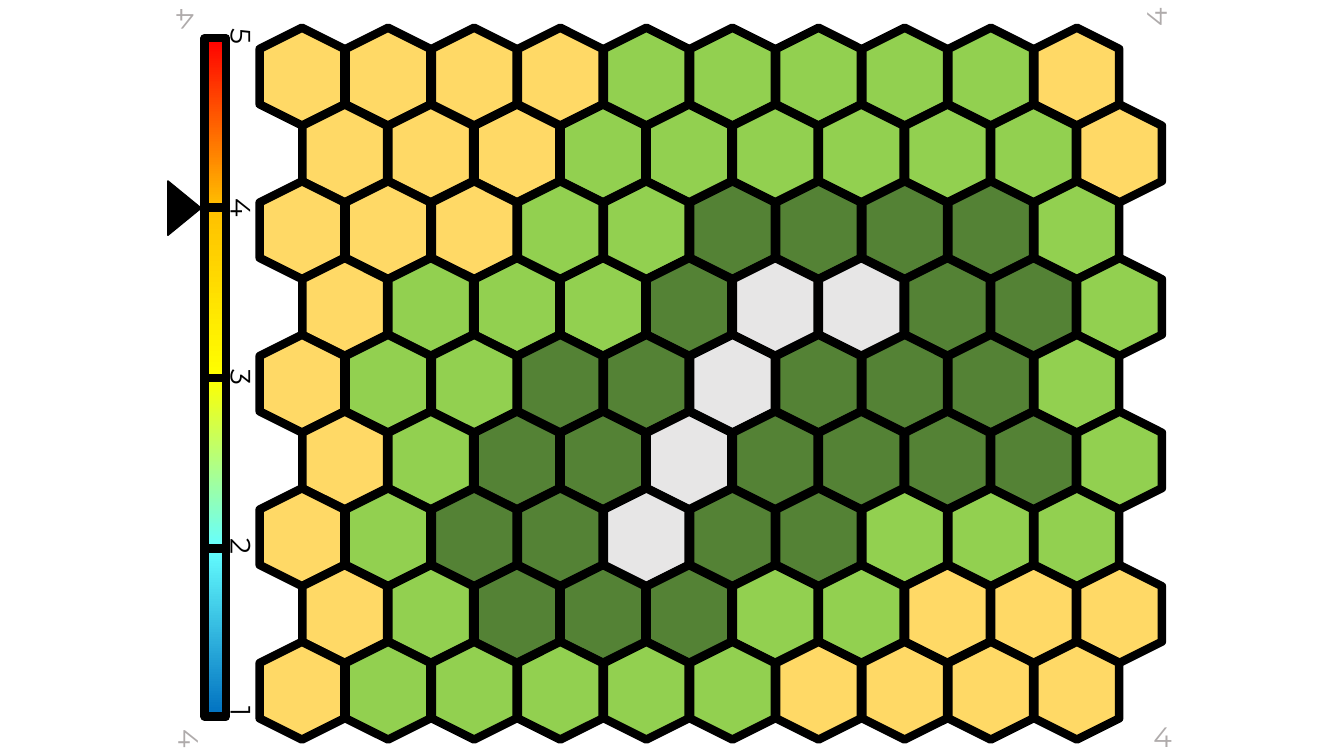
from lxml import etree
from pptx import Presentation
from pptx.dml.color import RGBColor
from pptx.enum.shapes import MSO_CONNECTOR, MSO_SHAPE
from pptx.enum.text import MSO_AUTO_SIZE
from pptx.oxml.ns import qn
from pptx.util import Emu, Pt

PX = 9144  # 100 px to the inch
RECT = MSO_SHAPE.RECTANGLE
HEX = MSO_SHAPE.HEXAGON
ARROW = MSO_SHAPE.ISOSCELES_TRIANGLE
LINE = MSO_CONNECTOR.STRAIGHT
GROW = MSO_AUTO_SIZE.SHAPE_TO_FIT_TEXT

BLACK, GREY = "000000", "AFABAB"
HUES = {"Y": "FFD966", "G": "92D050", "D": "548235", "W": "E7E6E6"}
HEAT = ["FF0000", "FFC000", "FFFF00", "66FFFF", "0070C0"]
ROWS = [
    "YYYYGGGGGY",
    "YYYGGGGGGY",
    "YYYGGDDDDG",
    "YGGGDWWDDG",
    "YGGDDWDDDG",
    "YGDDWDDDDG",
    "YGDDWDDGGG",
    "YGDDDGGYYY",
    "YGGGGGYYYY",
]
SCALE = {"5": 16, "4": 185, "3": 354, "2": 522, "1": 689}
MARKS = [(168, 711, 90), (1134, 709, 0), (1127, -5, 270), (164, -2, 180)]
FRAME = {"word_wrap": False, "auto_size": GROW}
FONT = {"name": "Montserrat", "size": Pt(20)}


def px(*vals):
    return [Emu(round(v * PX)) for v in vals]


def paint(color, hue):
    color.rgb = RGBColor.from_string(hue)


def put(item, values):
    for key, value in values.items():
        setattr(item, key, value)


def stroke(line, width):
    line.width = Pt(width)
    line.fill.solid()
    paint(line.fill.fore_color, BLACK)


def block(slide, kind, box, hue, width=6, turn=0):
    shape = slide.shapes.add_shape(kind, *px(*box))
    shape.shadow.inherit = False
    shape.rotation = turn
    shape.fill.solid()
    paint(shape.fill.fore_color, hue)
    stroke(shape.line, width)
    return shape


def blend(shape, hues):
    """Fill the shape from top to bottom with evenly spaced hues."""
    shape.fill.gradient()
    shape.fill.gradient_angle = 270
    stops = next(shape._element.spPr.iter(qn("a:gsLst")))
    for stop in list(stops):
        stops.remove(stop)
    for i, hue in enumerate(hues):
        pos = str(100000 * i // (len(hues) - 1))
        stop = etree.SubElement(stops, qn("a:gs"), pos=pos)
        etree.SubElement(stop, qn("a:srgbClr"), val=hue)


def tick(slide, y):
    line = slide.shapes.add_connector(LINE, *px(203, y, 223, y))
    stroke(line.line, 6)
    etree.SubElement(line._element.spPr, qn("a:effectLst"))


def label(slide, text, x, y, turn, hue):
    box = slide.shapes.add_textbox(*px(x, y, 39, 44))
    box.rotation = turn
    put(box.text_frame, FRAME)
    run = box.text_frame.paragraphs[0].add_run()
    run.text = text
    put(run.font, FONT)
    paint(run.font.color, hue)


def gauge(slide):
    bar = block(slide, RECT, (203, 38, 21, 673), HEAT[0])
    blend(bar, HEAT)
    for i in range(3):
        tick(slide, 206 + 169 * i)
    block(slide, ARROW, (156, 190, 54, 33), BLACK, 1, 90)
    for text, y in SCALE.items():
        label(slide, text, 220, y, 90, BLACK)


def board(slide):
    for r, row in enumerate(ROWS):
        for c, key in enumerate(row):
            x = 251 + 85.4 * c + 42.4 * (r % 2)
            y = 34 + 76.15 * r
            block(slide, HEX, (x, y, 97, 84), HUES[key], turn=270)


def main():
    deck = Presentation()
    deck.slide_width, deck.slide_height = px(1333, 750)
    slide = deck.slides.add_slide(deck.slide_layouts[6])
    gauge(slide)
    for x, y, turn in MARKS:
        label(slide, "4", x, y, turn, GREY)
    board(slide)
    deck.save("out.pptx")


if __name__ == "__main__":
    main()
